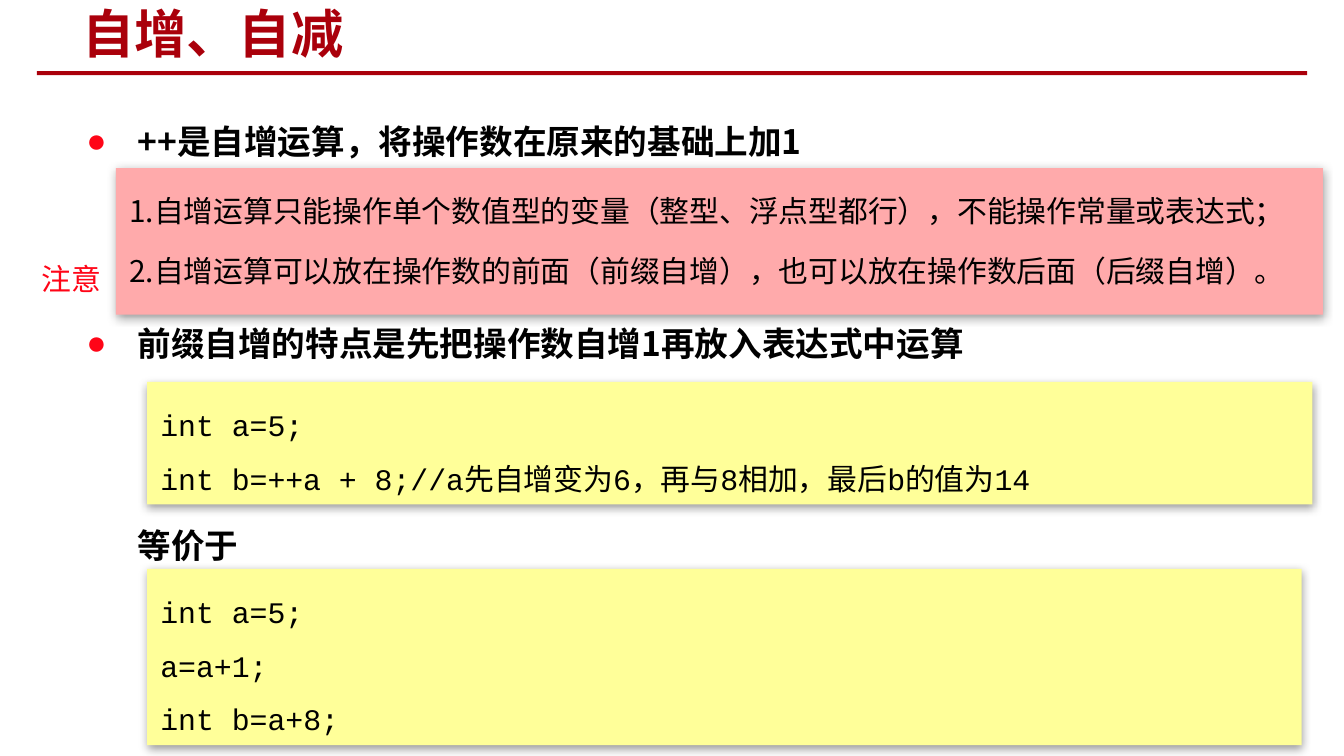
from lxml import etree
from pptx import Presentation
from pptx import util as u
from pptx.dml.color import RGBColor
from pptx.enum import shapes, text
from pptx.oxml import ns

WIDTH = u.Inches(10)
HEIGHT = WIDTH * 9 // 16
SANS, MONO = "Noto Sans CJK SC", "Courier New"
DARK_RED, RED, PINK, YELLOW, BLACK = "AA000B", "FF0517", "FFAAAB", "FFFF99", "000000"

STATEMENTS = [
    ("++是自增运算，将操作数在原来的基础上加1", True),
    ("前缀自增的特点是先把操作数自增1再放入表达式中运算", True),
    ("等价于", False),
]
NOTES = [
    "1.自增运算只能操作单个数值型的变量（整型、浮点型都行），不能操作常量或表达式；",
    "2.自增运算可以放在操作数的前面（前缀自增），也可以放在操作数后面（后缀自增）。",
]
PREFIX_CODE = ["int a=5;", "int b=++a + 8;//a先自增变为6，再与8相加，最后b的值为14"]
EQUAL_CODE = ["int a=5;", "a=a+1;", "int b=a+8;"]


def color(value):
    return RGBColor.from_string(value)


def share(left, top, width, height):
    return (round(WIDTH * left / 100), round(HEIGHT * top / 100),
            round(WIDTH * width / 100), round(HEIGHT * height / 100))


def add_child(parent, tag, **attributes):
    return etree.SubElement(parent, ns.qn(tag), attributes)


def write(para, words, size=16, font=SANS, fill=BLACK, bold=False, spacing=1.0, before=0):
    para.alignment = text.PP_ALIGN.LEFT
    para.line_spacing = spacing
    para.space_before = u.Pt(before)
    span = para.add_run()
    span.text = words
    span.font.size = u.Pt(size)
    span.font.bold = bold
    span.font.name = font
    span.font.color.rgb = color(fill)
    add_child(span.font._element, "a:ea", typeface=SANS)


def write_lines(frame, lines, gap=0, **style):
    frame.word_wrap = True
    frame.vertical_anchor = text.MSO_ANCHOR.TOP
    for number, line in enumerate(lines):
        para = frame.add_paragraph() if number else frame.paragraphs[0]
        write(para, line, spacing=1.5, before=gap if number else 0, **style)


def add_bullet(para, shown):
    props = para._p.get_or_add_pPr()
    hang = u.Inches(0.38)
    props.set("marL", str(hang))
    props.set("indent", str(-hang if shown else 0))
    if shown:
        add_child(add_child(props, "a:buClr"), "a:srgbClr", val=RED)
        add_child(props, "a:buFont", typeface="Arial")
        add_child(props, "a:buChar", char="●")
    else:
        add_child(props, "a:buNone")


def add_shadow(box):
    effects = box._element.spPr.find(ns.qn("a:effectLst"))
    shadow = add_child(effects, "a:outerShdw", blurRad=str(u.Pt(5)), dist=str(u.Pt(1.6)),
                       dir="5400000", algn="ctr", rotWithShape="0")
    add_child(add_child(shadow, "a:srgbClr", val=BLACK), "a:alpha", val="38000")


def add_rectangle(page, area, fill):
    box = page.shapes.add_shape(shapes.MSO_SHAPE.RECTANGLE, *share(*area))
    box.shadow.inherit = False
    box.fill.solid()
    box.fill.fore_color.rgb = color(fill)
    box.line.fill.background()
    return box


def add_panel(page, area, fill, lines, font=SANS, gap=0):
    box = add_rectangle(page, area, fill)
    add_shadow(box)
    write_lines(box.text_frame, lines, gap=gap, font=font)


def add_statements(page, area, statements):
    frame = page.shapes.add_textbox(*share(*area)).text_frame
    write_lines(frame, [words for words, _ in statements], gap=75.8, size=18, bold=True)
    for para, (_, bulleted) in zip(frame.paragraphs, statements):
        add_bullet(para, bulleted)


def add_title(page, area, words):
    title = page.shapes.title
    title.left, title.top, title.width, title.height = share(*area)
    title.text_frame.vertical_anchor = text.MSO_ANCHOR.MIDDLE
    write(title.text_frame.paragraphs[0], words, size=28, fill=DARK_RED, bold=True)


def add_label(page, area, words):
    frame = page.shapes.add_textbox(*share(*area)).text_frame
    frame.word_wrap = False
    write(frame.paragraphs[0], words, fill=RED)


def main():
    deck = Presentation()
    deck.slide_width, deck.slide_height = WIDTH, HEIGHT
    page = deck.slides.add_slide(deck.slide_layouts[5])
    add_rectangle(page, (2.75, 9.43, 94.5, 0.53), DARK_RED)
    add_statements(page, (5.45, 12.46, 90.6, 79.1), STATEMENTS)
    add_title(page, (5.13, 0.36, 53, 8), "自增、自减")
    add_panel(page, (8.63, 22.24, 89.8, 19.4), PINK, NOTES, gap=3.2)
    add_panel(page, (10.95, 50.53, 86.7, 16.19), YELLOW, PREFIX_CODE, font=MONO)
    add_label(page, (2.1, 33.63, 6.5, 6.58), "注意")
    add_panel(page, (10.95, 75.27, 85.9, 23.31), YELLOW, EQUAL_CODE, font=MONO)
    deck.save("out.pptx")


if __name__ == "__main__":
    main()
